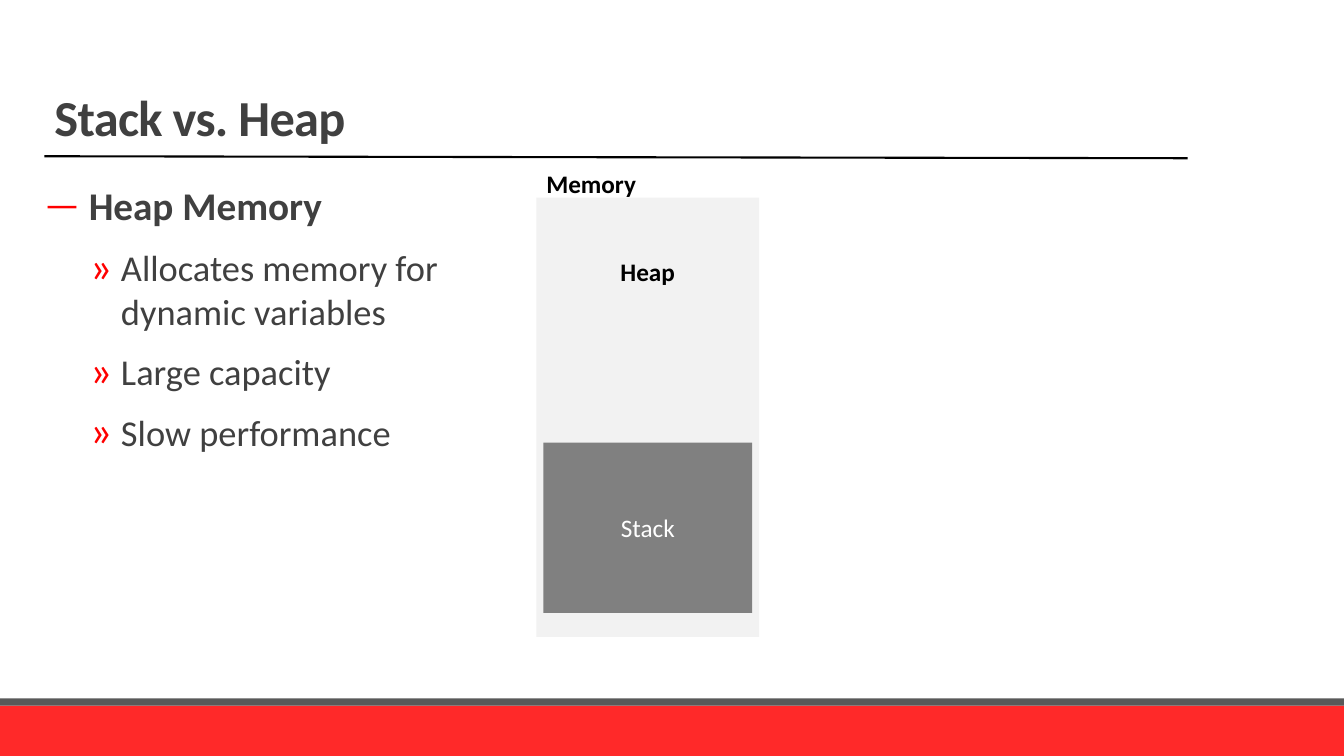
from lxml.etree import SubElement
from pptx import Presentation
from pptx.dml.color import RGBColor
from pptx.enum.shapes import MSO_CONNECTOR, MSO_SHAPE
from pptx.enum.text import MSO_ANCHOR, MSO_AUTO_SIZE, PP_ALIGN
from pptx.oxml.ns import qn
from pptx.util import Inches, Pt

BLACK = RGBColor(0, 0, 0)
WHITE = RGBColor(0xFF, 0xFF, 0xFF)
INK = RGBColor(0x40, 0x40, 0x40)
RED = RGBColor(0xFF, 0x29, 0x29)
SLATE = RGBColor(0x59, 0x59, 0x59)
PALE = RGBColor(0xF2, 0xF2, 0xF2)
GRAY = RGBColor(0x80, 0x80, 0x80)

TITLE = "Stack vs. Heap"
POINTS = [
    (0, "Heap Memory"),
    (1, "Allocates memory for dynamic variables"),
    (1, "Large capacity"),
    (1, "Slow performance"),
]
LEVELS = [
    {"mark": "—", "scale": 100, "left": 0.44, "hang": 0.44, "size": 28, "bold": True},
    {"mark": "»", "scale": 120, "left": 0.76, "hang": 0.31, "size": 26, "bold": False},
]

WIDE, HIGH = 13.33, 7.5
EDGE = 0.44
BAND, STRIP = 0.5, 0.07
SPAN = 11.33
MEM = (5.32, 1.96, 2.21, 4.36)
PAD = 0.07
STACK = (MEM[0] + PAD, 4.39, MEM[2] - 2 * PAD, 1.69)
HEAP = (MEM[0] + (MEM[2] - 0.74) / 2, 2.49, 0.74, 0.4)
LABEL = (MEM[0], 1.62, 1.1, 0.4)
BODY = (EDGE, 1.75, MEM[0] - EDGE, 5)


def put(item, **vals):
    for name, val in vals.items():
        setattr(item, name, val)


def scale(box):
    return [Inches(n) for n in box]


def style(run, size, color, bold=False):
    put(run.font, name="Calibri", size=Pt(size), bold=bold)
    run.font.color.rgb = color


def block(slide, box, color):
    shape = slide.shapes.add_shape(MSO_SHAPE.RECTANGLE, *scale(box))
    shape.shadow.inherit = False
    shape.fill.solid()
    shape.fill.fore_color.rgb = color
    shape.line.fill.background()
    return shape


def write(para, text, size, color, bold=False):
    run = para.add_run()
    run.text = text
    style(run, size, color, bold)
    return run


def tag(slide, box, text):
    frame = slide.shapes.add_textbox(*scale(box)).text_frame
    put(frame, word_wrap=False, auto_size=MSO_AUTO_SIZE.SHAPE_TO_FIT_TEXT)
    write(frame.paragraphs[0], text, 18, BLACK, True)


def bullet(para, level):
    props = para._p.get_or_add_pPr()
    props.set("marL", str(Inches(level["left"])))
    props.set("indent", str(-Inches(level["hang"])))
    SubElement(SubElement(props, qn("a:buClr")), qn("a:srgbClr"), val="FF0000")
    SubElement(props, qn("a:buSzPct"), val=str(level["scale"] * 1000))
    SubElement(props, qn("a:buFont"), typeface="Calibri")
    SubElement(props, qn("a:buChar"), char=level["mark"])


def head(slide):
    title = slide.shapes.title
    spot = scale((EDGE, 0, SPAN, 1.51))
    put(title, **dict(zip(("left", "top", "width", "height"), spot)))
    frame = title.text_frame
    put(frame, vertical_anchor=MSO_ANCHOR.BOTTOM, word_wrap=True,
        auto_size=MSO_AUTO_SIZE.NONE)
    para = frame.paragraphs[0]
    put(para, alignment=PP_ALIGN.LEFT, line_spacing=0.85)
    run = write(para, TITLE, 36, INK, True)
    run.font._element.set("spc", "-50")
    ends = scale((EDGE, 1.55, 11.78, 1.57))
    rule = slide.shapes.add_connector(MSO_CONNECTOR.STRAIGHT, *ends)
    rule.line.color.rgb = BLACK
    rule.line.width = Pt(1.5)
    SubElement(rule._element.spPr, qn("a:effectLst"))


def body(slide):
    frame = slide.shapes.add_textbox(*scale(BODY)).text_frame
    put(frame, word_wrap=True, margin_left=0, margin_right=0)
    for i, (depth, text) in enumerate(POINTS):
        para = frame.add_paragraph() if i else frame.paragraphs[0]
        level = LEVELS[depth]
        put(para, level=depth, space_before=Pt(6), space_after=Pt(6))
        bullet(para, level)
        write(para, text, level["size"], INK, level["bold"])


def main():
    deck = Presentation()
    put(deck, slide_width=Inches(WIDE), slide_height=Inches(HIGH))
    slide = deck.slides.add_slide(deck.slide_layouts[5])
    block(slide, (0, HIGH - BAND, WIDE, BAND), RED)
    block(slide, (0, HIGH - BAND - STRIP, WIDE, STRIP), SLATE)
    head(slide)
    body(slide)
    block(slide, MEM, PALE)
    frame = block(slide, STACK, GRAY).text_frame
    frame.vertical_anchor = MSO_ANCHOR.MIDDLE
    para = frame.paragraphs[0]
    para.alignment = PP_ALIGN.CENTER
    write(para, "Stack", 18, WHITE)
    tag(slide, HEAP, "Heap")
    tag(slide, LABEL, "Memory")
    deck.save("out.pptx")


if __name__ == "__main__":
    main()
